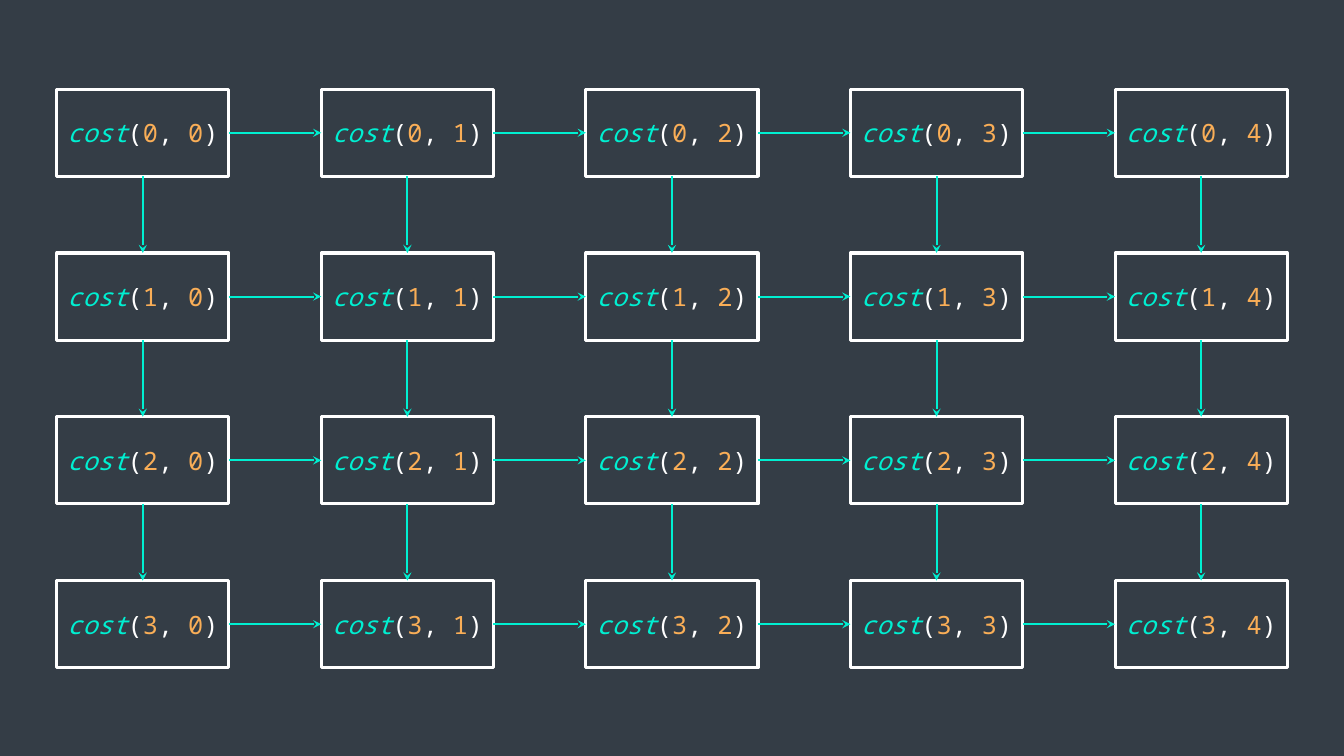
import pptx
import pptx.dml.color
import pptx.enum.shapes
import pptx.enum.text
import pptx.oxml.ns
import pptx.util
from lxml import etree

RGBColor = pptx.dml.color.RGBColor
SLATE = RGBColor(0x34, 0x3D, 0x46)
WHITE = RGBColor(0xFF, 0xFF, 0xFF)
TEAL = RGBColor(0x00, 0xEF, 0xD1)
ORANGE = RGBColor(0xF9, 0xAE, 0x57)

EMU_PER_PX = 9525
SLIDE_W, SLIDE_H = 1280, 720
ROWS, COLS = 4, 5
LEFT, TOP = 54, 85
BOX_W, BOX_H = 164, 83
STEP_X, STEP_Y = 252, 156
# Connection sites of a rectangle
SITE_TOP, SITE_LEFT, SITE_BOTTOM, SITE_RIGHT = range(4)


def px(n):
    return pptx.util.Emu(n * EMU_PER_PX)


class Diagram:
    font = "Noto Sans Mono"
    font_size = pptx.util.Pt(18)
    box_line = pptx.util.Pt(2.25)
    arrow_line = pptx.util.Pt(1.5)

    def __init__(self, slide):
        self.slide = slide
        fill = slide.background.fill
        fill.solid()
        fill.fore_color.rgb = SLATE

    def box(self, x, y, w, h, parts):
        """Draw a box whose text is given as (text, colour, italic) parts."""
        s = self.slide.shapes.add_shape(
            pptx.enum.shapes.MSO_SHAPE.RECTANGLE, px(x), px(y), px(w), px(h))
        s.shadow.inherit = False
        s.fill.solid()
        s.fill.fore_color.rgb = SLATE
        s.line.color.rgb = WHITE
        s.line.width = self.box_line
        tf = s.text_frame
        tf.margin_left = tf.margin_top = tf.margin_right = tf.margin_bottom = 0
        tf.vertical_anchor = pptx.enum.text.MSO_ANCHOR.MIDDLE
        p = tf.paragraphs[0]
        p.alignment = pptx.enum.text.PP_ALIGN.CENTER
        for text, color, italic in parts:
            r = p.add_run()
            r.text = text
            r.font.name = self.font
            r.font.size = self.font_size
            r.font.color.rgb = color
            r.font.italic = italic
        return s

    def arrow(self, start, start_site, end, end_site):
        c = self.slide.shapes.add_connector(
            pptx.enum.shapes.MSO_CONNECTOR.STRAIGHT, 0, 0, 0, 0)
        c.begin_connect(start, start_site)
        c.end_connect(end, end_site)
        c.line.color.rgb = TEAL
        c.line.width = self.arrow_line
        qn = pptx.oxml.ns.qn
        etree.SubElement(c.line._get_or_add_ln(), qn("a:tailEnd"), type="stealth")
        etree.SubElement(c._element.spPr, qn("a:effectLst"))


def cost_call(row, col):
    return [("cost", TEAL, True), ("(", WHITE, False), (str(row), ORANGE, False),
            (", ", WHITE, False), (str(col), ORANGE, False), (")", WHITE, False)]


def main():
    prs = pptx.Presentation()
    prs.slide_width, prs.slide_height = px(SLIDE_W), px(SLIDE_H)
    blank = prs.slide_layouts.get_by_name("Blank")
    diagram = Diagram(prs.slides.add_slide(blank))

    boxes = [[diagram.box(LEFT + col * STEP_X, TOP + row * STEP_Y,
                          BOX_W, BOX_H, cost_call(row, col))
              for col in range(COLS)] for row in range(ROWS)]

    for row in range(ROWS):
        for col in range(COLS):
            if col + 1 < COLS:
                diagram.arrow(boxes[row][col], SITE_RIGHT,
                              boxes[row][col + 1], SITE_LEFT)
            if row + 1 < ROWS:
                diagram.arrow(boxes[row][col], SITE_BOTTOM,
                              boxes[row + 1][col], SITE_TOP)

    prs.save("out.pptx")


if __name__ == "__main__":
    main()
